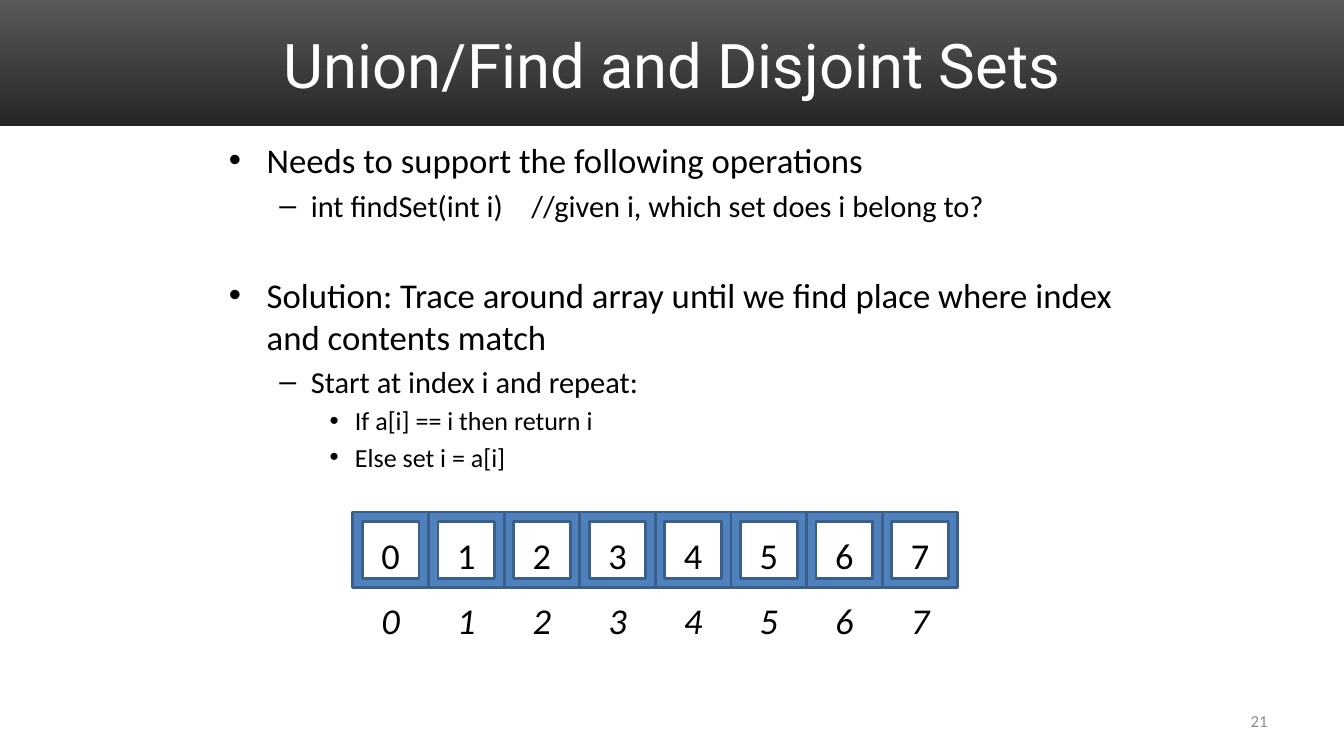
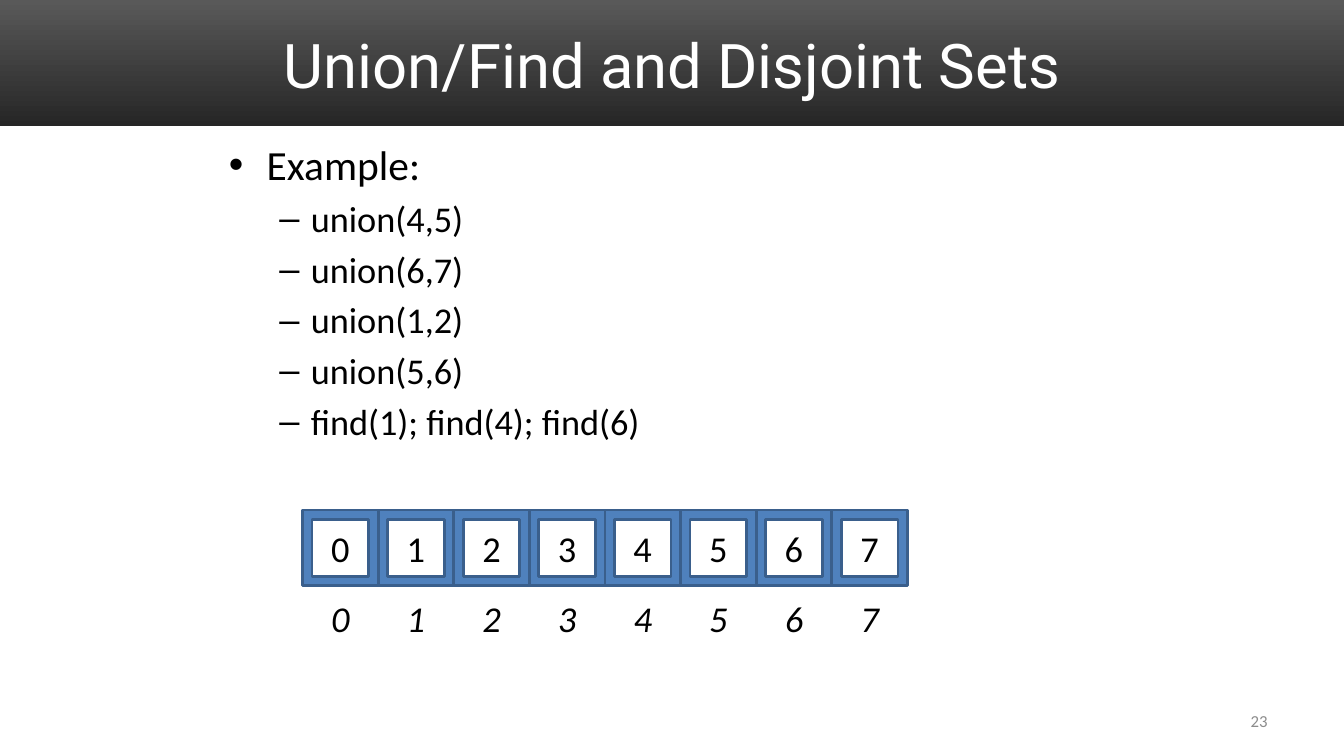
from pptx import Presentation
from pptx.dml.color import RGBColor
from pptx.enum.shapes import MSO_SHAPE as SHAPE
from pptx.enum.text import MSO_ANCHOR as ANCHOR, MSO_AUTO_SIZE as AUTOSIZE, PP_ALIGN as ALIGN
from pptx.util import Inches, Pt

COLORS = {
    "band_top": "595959",
    "band_bottom": "262626",
    "title": "FFFFFF",
    "text": "000000",
    "number": "8C8C8C",
    "cell": "4F81BD",
    "cell_line": "3A5F8C",
}
TITLE_FONT, BODY_FONT = "Roboto", "Calibri"
SLIDE_W, SLIDE_H = 13.33, 7.5
TITLE_BOX = (0.67, 0.17, 12, 0.92)
BODY_BOX = (2.17, 1.33, 9, 3.08)
NUMBER_BOX = (9.56, 6.95, 3.11, 0.4)
CELL = 0.75
LABEL_GAP, LABEL_H = 0.07, 0.5

TITLE = "Union/Find and Disjoint Sets"
SLIDES = [
    {
        "number": 21,
        "sizes": [24.8, 21.7, 18.6],
        "items": [
            (0, "Needs to support the following operations", None),
            (1, "int findSet(int i)\t//given i, which set does i belong to?", None),
            (0, "Solution: Trace around array until we find place where index "
                "and contents match", 36),
            (1, "Start at index i and repeat:", None),
            (2, "If a[i] == i then return i", None),
            (2, "Else set i = a[i]", None),
        ],
        "array": (3.5, 5.08),
        "drop": 0.05,
    },
    {
        "number": 23,
        "sizes": [29.6, 25.9],
        "items": [
            (0, "Example:", None),
            (1, "union(4,5)", None),
            (1, "union(6,7)", None),
            (1, "union(1,2)", None),
            (1, "union(5,6)", None),
            (1, "find(1); find(4); find(6)", None),
        ],
        "array": (3, 5.06),
        "drop": 0,
    },
]


def rgb(name):
    return RGBColor.from_string(COLORS[name])


def place(sp, box):
    sp.left, sp.top, sp.width, sp.height = (Inches(v) for v in box)


def style(p, size, color, font=BODY_FONT, italic=None, align=None):
    p.font.name, p.font.size, p.font.italic = font, Pt(size), italic
    p.font.color.rgb = rgb(color)
    if align is not None:
        p.alignment = align


def add_label(s, box, text, size, color, align, italic=None):
    tf = s.shapes.add_textbox(*(Inches(v) for v in box)).text_frame
    tf.word_wrap = True
    tf.vertical_anchor = ANCHOR.MIDDLE
    p = tf.paragraphs[0]
    p.text = text
    style(p, size, color, italic=italic, align=align)


def add_band(layout, s):
    sp = s.shapes.add_shape(SHAPE.RECTANGLE, 0, 0, Inches(SLIDE_W), Inches(1.25))
    sp.shadow.inherit = False
    sp.line.fill.background()
    sp.fill.gradient()
    sp.fill.gradient_angle = 270
    for stop, name in zip(sp.fill.gradient_stops, ("band_top", "band_bottom")):
        stop.color.rgb = rgb(name)
    layout.shapes._spTree.insert(2, sp._element)


def fill_title(s):
    s.shapes.title.text = TITLE
    style(s.shapes.title.text_frame.paragraphs[0], 44, "title", TITLE_FONT, align=ALIGN.CENTER)


def fill_body(s, items, sizes):
    tf = s.placeholders[1].text_frame
    tf.auto_size = AUTOSIZE.NONE
    for i, (level, text, gap) in enumerate(items):
        p = tf.add_paragraph() if i else tf.paragraphs[0]
        p.text, p.level = text, level
        if i == 0:
            p.space_before = Pt(0)
        elif gap:
            p.space_before = Pt(gap)
        style(p, sizes[level], "text")


def add_cell(s, x, y, value, drop):
    sp = s.shapes.add_shape(SHAPE.FRAME, Inches(x), Inches(y), Inches(CELL), Inches(CELL))
    sp.shadow.inherit = False
    sp.fill.solid()
    sp.fill.fore_color.rgb = rgb("cell")
    sp.line.color.rgb = rgb("cell_line")
    sp.line.width = Pt(2)
    tf = sp.text_frame
    tf.margin_left = tf.margin_right = tf.margin_bottom = 0
    tf.margin_top = Inches(2 * drop)
    tf.vertical_anchor = ANCHOR.MIDDLE
    p = tf.paragraphs[0]
    p.text = str(value)
    style(p, 26, "text", align=ALIGN.CENTER)


def add_array(s, left, top, values, drop):
    for i, value in enumerate(values):
        x = left + i * CELL
        add_cell(s, x, top, value, drop)
        label = (x, top + CELL + LABEL_GAP, CELL, LABEL_H)
        add_label(s, label, str(i), 26, "text", ALIGN.CENTER, italic=True)


def main():
    prs = Presentation()
    prs.slide_width, prs.slide_height = Inches(SLIDE_W), Inches(SLIDE_H)
    layout = prs.slide_layouts[1]
    place(layout.placeholders[0], TITLE_BOX)
    place(layout.placeholders[1], BODY_BOX)
    for i, data in enumerate(SLIDES):
        s = prs.slides.add_slide(layout)
        if i == 0:
            add_band(layout, s)
        fill_title(s)
        fill_body(s, data["items"], data["sizes"])
        add_array(s, *data["array"], range(8), data["drop"])
        add_label(s, NUMBER_BOX, str(data["number"]), 12, "number", ALIGN.RIGHT)
    prs.save("out.pptx")


if __name__ == "__main__":
    main()
